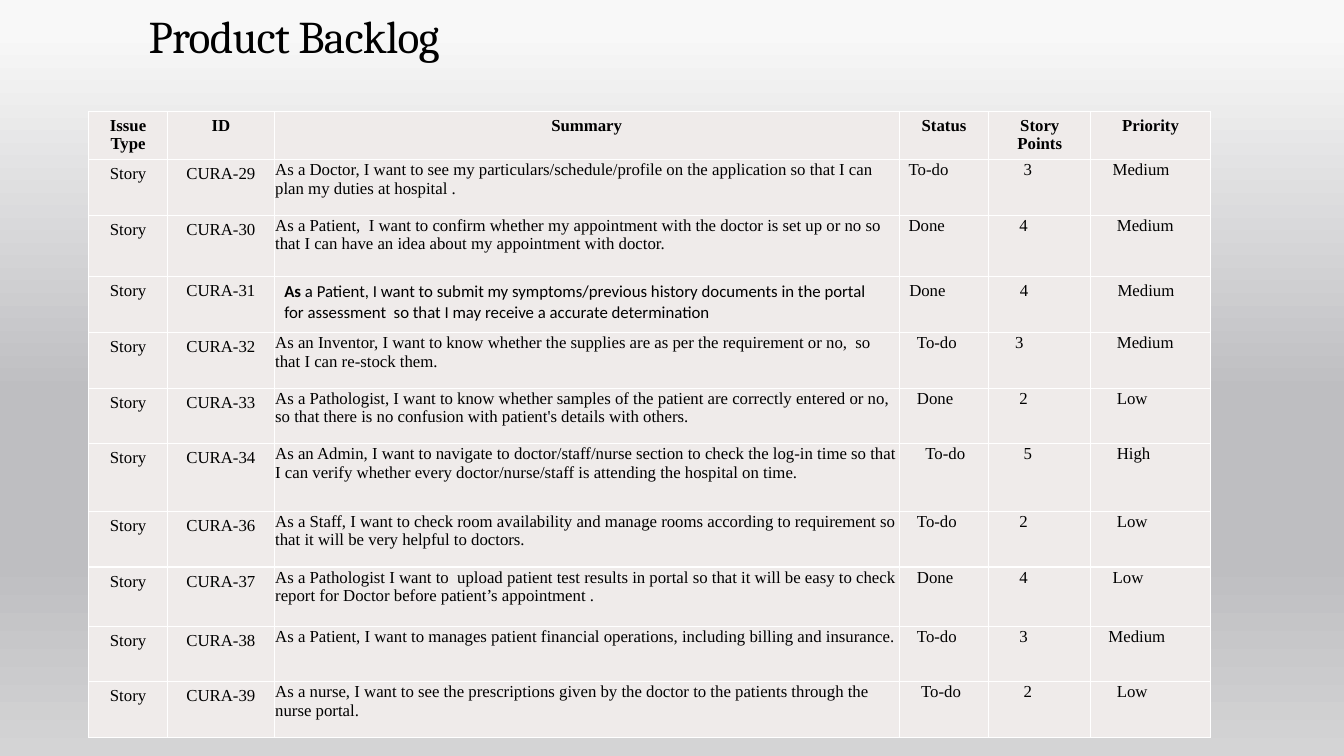
"""Build the product backlog slide with its title and story table."""
from dataclasses import dataclass

from lxml import etree
from pptx import Presentation
from pptx.dml import color
from pptx.enum import text
from pptx.oxml import ns
from pptx.util import Pt


@dataclass(frozen=True)
class Theme:
    ink: str = "000000"
    cell: str = "EFEBEA"
    border: str = "FFFFFF"
    background: tuple = ((4, "F8F8F8"), (52, "BEBEC1"), (74, "BEBEC1"), (100, "D4D4D5"))
    title_font: str = "Cambria"
    table_font: str = "Times New Roman"
    accent_font: str = "Calibri"
    title_size: float = 32.4
    table_size: float = 12


@dataclass(frozen=True)
class Story:
    number: int
    summary: str
    status: str
    points: int
    priority: str
    indents: tuple[float, float, float]
    height: float = 39.8
    roomy: bool = False


THEME = Theme()
HEADINGS = ("Issue Type", "ID", "Summary", "Status", "Story Points", "Priority")
COLUMN_WIDTHS = (56.2, 76.3, 446.4, 64.1, 72.7, 85.7)
HEADER_HEIGHT = 34.6
CENTER = text.PP_ALIGN.CENTER
ROOMY_MARGINS = (7.2, 3.6, 7.2, 3.6)
TIGHT_MARGINS = (0.72, 0.72, 0.72, 0)
STORIES = (
    Story(29, "As a Doctor, I want to see my particulars/schedule/profile on the application "
          "so that I can plan my duties at hospital .", "To-do", 3, "Medium", (6, 24, 15)),
    Story(30, "As a Patient,  I want to confirm whether my appointment with the doctor is set up "
          "or no so that I can have an idea about my appointment with doctor.",
          "Done", 4, "Medium", (6, 21, 18), height=43.9),
    Story(31, "As a Patient, I want to submit my symptoms/previous history documents in the portal "
          "for assessment  so that I may receive a accurate determination",
          "Done", 4, "Medium", (6.5, 21.5, 18.5), roomy=True),
    Story(32, "As an Inventor, I want to know whether the supplies are as per the requirement "
          "or no,  so that I can re-stock them.", "To-do", 3, "Medium", (12, 18, 18)),
    Story(33, "As a Pathologist, I want to know whether samples of the patient are correctly "
          "entered or no, so that there is no confusion with patient's details with others.",
          "Done", 2, "Low", (12, 21, 18)),
    Story(34, "As an Admin, I want to navigate to doctor/staff/nurse section to check the log-in "
          "time so that I can verify whether every doctor/nurse/staff is attending the hospital "
          "on time.", "To-do", 5, "High", (18, 24, 18), height=48.2),
    Story(36, "As a Staff, I want to check room availability and manage rooms according to "
          "requirement so that it will be very helpful to doctors.",
          "To-do", 2, "Low", (12, 21, 18)),
    Story(37, "As a Pathologist I want to  upload patient test results in portal so that it will "
          "be easy to check report for Doctor before patient’s appointment .",
          "Done", 4, "Low", (12, 21, 15), height=42.2),
    Story(38, "As a Patient, I want to manages patient financial operations, including billing "
          "and insurance.", "To-do", 3, "Medium", (12, 21, 12)),
    Story(39, "As a nurse, I want to see the prescriptions given by the doctor to the patients "
          "through the nurse portal.", "To-do", 2, "Low", (15, 24, 18)),
)


def add_text(paragraph, content: str, *, font: str = THEME.table_font,
             size: float = THEME.table_size, bold: bool = False, align=None):
    """Add one formatted run to a paragraph and return it."""
    paragraph.alignment = align
    run = paragraph.add_run()
    run.text = content
    run.font.name, run.font.size, run.font.bold = font, Pt(size), bold
    run.font.color.rgb = color.RGBColor.from_string(THEME.ink)
    return run


def format_cell(cell, margins: tuple = ROOMY_MARGINS, indent: float = 0):
    """Set margins, borders and fill, and return the first paragraph."""
    left, top, right, bottom = margins
    cell.margin_left, cell.margin_top = Pt(left + indent), Pt(top)
    cell.margin_right, cell.margin_bottom = Pt(right), Pt(bottom)
    properties = cell._tc.get_or_add_tcPr()
    for side in ("lnL", "lnR", "lnT", "lnB"):
        line = etree.SubElement(properties, ns.qn(f"a:{side}"), w=str(Pt(1)))
        solid = etree.SubElement(line, ns.qn("a:solidFill"))
        etree.SubElement(solid, ns.qn("a:srgbClr"), val=THEME.border)
    cell.fill.solid()
    cell.fill.fore_color.rgb = color.RGBColor.from_string(THEME.cell)
    return cell.text_frame.paragraphs[0]


def fill_story_row(cells: list, story: Story) -> None:
    """Write one story into the cells of its row."""
    issue, identifier, summary, *details = cells
    for cell, content in ((issue, "Story"), (identifier, f"CURA-{story.number}")):
        add_text(format_cell(cell), content, align=CENTER)
    paragraph = format_cell(summary, ROOMY_MARGINS if story.roomy else TIGHT_MARGINS)
    if story.roomy:
        add_text(paragraph, story.summary[:2], font=THEME.accent_font, bold=True)
        add_text(paragraph, story.summary[2:], font=THEME.accent_font)
    else:
        add_text(paragraph, story.summary)
    left, top, right, bottom = TIGHT_MARGINS
    margins = (left, ROOMY_MARGINS[1] if story.roomy else top, right, bottom)
    values = (story.status, str(story.points), story.priority)
    for cell, content, indent in zip(details, values, story.indents):
        add_text(format_cell(cell, margins, indent), content)


def add_backlog(slide) -> None:
    """Draw the backlog table."""
    heights = (HEADER_HEIGHT, *(story.height for story in STORIES))
    frame = slide.shapes.add_table(len(heights), len(HEADINGS), Pt(63.4), Pt(79.4),
                                   Pt(sum(COLUMN_WIDTHS)), Pt(sum(heights)))
    table = frame.table
    for column, width in zip(table.columns, COLUMN_WIDTHS):
        column.width = Pt(width)
    for row, height in zip(table.rows, heights):
        row.height = Pt(height)
    header, *rows = table.rows
    for cell, heading in zip(header.cells, HEADINGS):
        add_text(format_cell(cell), heading, bold=True, align=CENTER)
    for row, story in zip(rows, STORIES):
        fill_story_row(list(row.cells), story)


def set_title(slide) -> None:
    """Place and fill the title placeholder."""
    title = slide.shapes.title
    title.left, title.top, title.width, title.height = Pt(81.4), Pt(7.9), Pt(781.2), Pt(42.5)
    frame = title.text_frame
    frame.auto_size = text.MSO_AUTO_SIZE.NONE
    frame.word_wrap = True
    frame.vertical_anchor = text.MSO_ANCHOR.BOTTOM
    frame.margin_left, frame.margin_bottom = Pt(24.8), Pt(5)
    paragraph = frame.paragraphs[0]
    paragraph.line_spacing = 0.9
    run = add_text(paragraph, "Product Backlog", font=THEME.title_font,
                   size=THEME.title_size, align=text.PP_ALIGN.LEFT)
    run.font._element.set("spc", "-50")


def set_background(slide) -> None:
    """Give the slide its vertical gradient."""
    fill = slide.background.fill
    fill.gradient()
    fill.gradient_angle = 270
    stops = slide.element.find(f".//{ns.qn('a:gsLst')}")
    for stop in list(stops):
        stops.remove(stop)
    for position, shade in THEME.background:
        stop = etree.SubElement(stops, ns.qn("a:gs"), pos=str(position * 1000))
        etree.SubElement(stop, ns.qn("a:srgbClr"), val=shade)


def main() -> None:
    """Create and save the presentation."""
    presentation = Presentation()
    presentation.slide_width, presentation.slide_height = Pt(960), Pt(540)
    slide = presentation.slides.add_slide(presentation.slide_layouts[5])
    set_background(slide)
    add_backlog(slide)
    set_title(slide)
    presentation.save("out.pptx")


if __name__ == "__main__":
    main()
